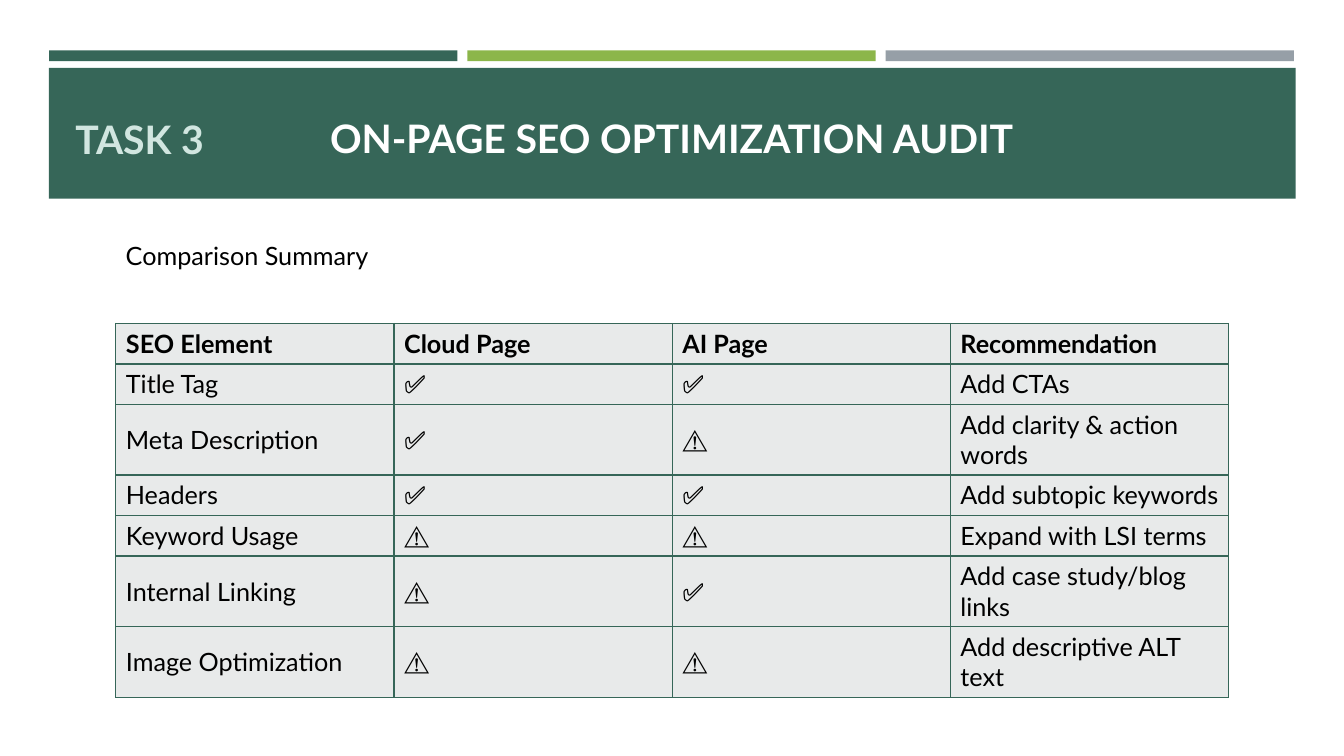
from dataclasses import dataclass

from lxml import etree
from pptx import Presentation
from pptx.dml.color import RGBColor
from pptx.enum.shapes import MSO_SHAPE
from pptx.enum.text import MSO_ANCHOR, PP_ALIGN
from pptx.oxml.ns import qn
from pptx.util import Cm, Pt

RECTANGLE = MSO_SHAPE.RECTANGLE
MIDDLE, BOTTOM, TOP = MSO_ANCHOR.MIDDLE, MSO_ANCHOR.BOTTOM, MSO_ANCHOR.TOP
LEFT, CENTER = PP_ALIGN.LEFT, PP_ALIGN.CENTER


@dataclass(frozen=True)
class Theme:
    font: str = "Lato"
    green: str = "366658"
    lime: str = "8CB64A"
    gray: str = "969FA7"
    mint: str = "D1E6E0"
    cell: str = "E8EAEA"
    white: str = "FFFFFF"
    black: str = "000000"
    heading: int = 28
    body: int = 18


theme = Theme()


def write(text_frame, text, size, color, bold=False, align=LEFT, anchor=TOP):
    text_frame.text = text
    text_frame.word_wrap = True
    text_frame.vertical_anchor = anchor
    paragraph = text_frame.paragraphs[0]
    paragraph.alignment = align
    font = paragraph.runs[0].font
    font.name = theme.font
    font.size = Pt(size)
    font.bold = bold
    font.color.rgb = RGBColor.from_string(color)


def add_bar(left, top, width, height, color):
    bar = slide.shapes.add_shape(RECTANGLE, Cm(left), Cm(top), Cm(width), Cm(height))
    bar.shadow.inherit = False
    bar.fill.solid()
    bar.fill.fore_color.rgb = RGBColor.from_string(color)
    bar.line.fill.background()


presentation = Presentation()
presentation.slide_width = Cm(33.87)
presentation.slide_height = Cm(19.05)
slide = presentation.slides.add_slide(presentation.slide_layouts[5])

for index, color in enumerate((theme.green, theme.lime, theme.gray)):
    add_bar(1.24 + index * 10.54, 1.27, 10.29, 0.27, color)
add_bar(1.23, 1.71, 31.42, 3.3, theme.green)

title = slide.shapes.title
title.left, title.top, title.width, title.height = Cm(6.6), Cm(2.57), Cm(20.65), Cm(1.63)
write(title.text_frame, "ON-PAGE SEO OPTIMIZATION AUDIT", theme.heading, theme.white,
      bold=True, align=CENTER, anchor=BOTTOM)
title.element.getparent().append(title.element)

task_label = slide.shapes.add_textbox(Cm(1.65), Cm(2.79), Cm(4.6), Cm(1.9))
write(task_label.text_frame, "TASK 3", theme.heading, theme.mint, bold=True)

audit_rows = (
    ("SEO Element", "Cloud Page", "AI Page", "Recommendation"),
    ("Title Tag", "✅", "✅", "Add CTAs"),
    ("Meta Description", "✅", "⚠️", "Add clarity & action words"),
    ("Headers", "✅", "✅", "Add subtopic keywords"),
    ("Keyword Usage", "⚠️", "⚠️", "Expand with LSI terms"),
    ("Internal Linking", "⚠️", "✅", "Add case study/blog links"),
    ("Image Optimization", "⚠️", "⚠️", "Add descriptive ALT text"),
)
table = slide.shapes.add_table(
    len(audit_rows), len(audit_rows[0]), Cm(2.92), Cm(8.15), Cm(28.04), Cm(7.14)
).table
table.first_row = False
table.horz_banding = False

for row_index, audit_row in enumerate(audit_rows):
    for column_index, text in enumerate(audit_row):
        cell = table.cell(row_index, column_index)
        write(cell.text_frame, text, theme.body, theme.black, bold=row_index == 0)
        cell.vertical_anchor = MIDDLE
        properties = cell._tc.get_or_add_tcPr()
        for side in ("a:lnL", "a:lnR", "a:lnT", "a:lnB"):
            border = etree.SubElement(properties, qn(side), w=str(Pt(1)))
            border_fill = etree.SubElement(border, qn("a:solidFill"))
            etree.SubElement(border_fill, qn("a:srgbClr"), val=theme.green)
        cell.fill.solid()
        cell.fill.fore_color.rgb = RGBColor.from_string(theme.cell)

summary = slide.shapes.add_textbox(Cm(2.92), Cm(5.92), Cm(7.26), Cm(1.02))
write(summary.text_frame, "Comparison Summary", theme.body, theme.black)

presentation.save("out.pptx")
